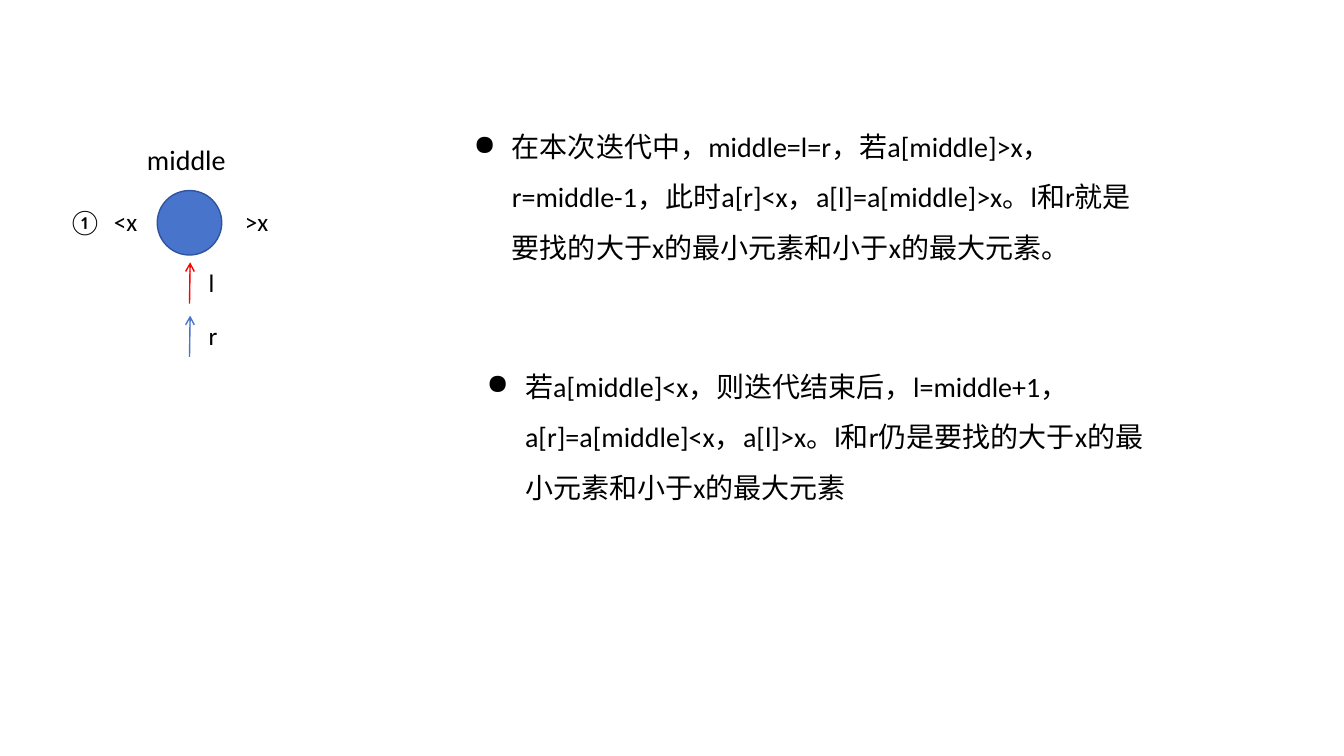
import pptx
import pptx.dml.color
import pptx.enum.shapes
import pptx.enum.text
import pptx.oxml
import pptx.oxml.ns
import pptx.util

COLORS = {"text": "000000", "node": "4874CB", "node_edge": "2E54A1", "left": "FF0000", "right": "4874CB"}


class SearchSlide:
    """Draws elements on one slide, with lengths in percent of the slide's size."""

    font = "Calibri"

    def __init__(self, deck):
        self.deck = deck
        self.slide = deck.slides.add_slide(deck.slide_layouts[6])

    def place(self, x, y, *size):
        shares = (x, y) + size
        sides = (self.deck.slide_width, self.deck.slide_height) * 2
        return [int(side * share / 100) for share, side in zip(shares, sides)]

    def color(self, name):
        return pptx.dml.color.RGBColor.from_string(COLORS[name])

    def element(self, parent, tag, **attributes):
        child = pptx.oxml.parse_xml(f"<a:{tag} {pptx.oxml.ns.nsdecls('a')}/>")
        for key, value in attributes.items():
            child.set(key, str(value))
        parent.append(child)

    def circle(self, x, y, width, height):
        node = self.slide.shapes.add_shape(
            pptx.enum.shapes.MSO_SHAPE.OVAL, *self.place(x, y, width, height))
        node.shadow.inherit = False
        node.fill.solid()
        node.fill.fore_color.rgb = self.color("node")
        node.line.color.rgb = self.color("node_edge")
        node.line.width = pptx.util.Pt(1)

    def arrow(self, start, end, color):
        pointer = self.slide.shapes.add_connector(
            pptx.enum.shapes.MSO_CONNECTOR.STRAIGHT, *self.place(*start, *end))
        pointer.line.color.rgb = self.color(color)
        pointer.line.width = pptx.util.Pt(1)
        self.element(pointer.line._get_or_add_ln(), "tailEnd", type="arrow")
        self.element(pointer._element.spPr, "effectLst")

    def text(self, words, x, y, width, height, size=18, wrap=True, bullet=None):
        frame = self.slide.shapes.add_textbox(*self.place(x, y, width, height)).text_frame
        frame.word_wrap = wrap
        paragraph = frame.paragraphs[0]
        if bullet:
            paragraph.line_spacing = 1.5
            properties = paragraph._p.get_or_add_pPr()
            indent = pptx.util.Inches(0.38)
            properties.set("marL", str(indent))
            properties.set("indent", str(-indent))
            self.element(properties, "buChar", char=bullet)
        run = paragraph.add_run()
        run.text = words
        run.font.size = pptx.util.Pt(size)
        run.font.name = self.font
        run.font.color.rgb = self.color("text")

    def conclusion(self, words, x, y):
        self.text(words, x, y, 51.9, 21.47, size=20, bullet="●")


def main():
    deck = pptx.Presentation()
    deck.slide_width = pptx.util.Inches(13.33)
    deck.slide_height = pptx.util.Inches(7.5)
    page = SearchSlide(deck)

    page.circle(11.7, 25.2, 4.8, 8.53)
    page.text("middle", 10.2, 18.13, 7.88, 5.87, size=20)
    page.text("①", 4.35, 26.67, 3.38, 5.33, wrap=False)
    for side, x in (("<x", 7.73), (">x", 17.48)):
        page.text(side, x, 26.67, 3.83, 5.33)

    for step, (index, color) in enumerate((("l", "left"), ("r", "right"))):
        top = 34.7 + step * 7.05
        page.arrow((14.1, top + 5.45), (14.15, top), color)
        page.text(index, 14.78, top, 1.73, 5.33)

    page.conclusion("在本次迭代中，middle=l=r，若a[middle]>x，r=middle-1，此时a[r]<x，"
                    "a[l]=a[middle]>x。l和r就是要找的大于x的最小元素和小于x的最大元素。", 34.5, 14.27)
    page.conclusion("若a[middle]<x，则迭代结束后，l=middle+1，a[r]=a[middle]<x，a[l]>x。"
                    "l和r仍是要找的大于x的最小元素和小于x的最大元素", 35.48, 46)
    deck.save("out.pptx")


if __name__ == "__main__":
    main()
